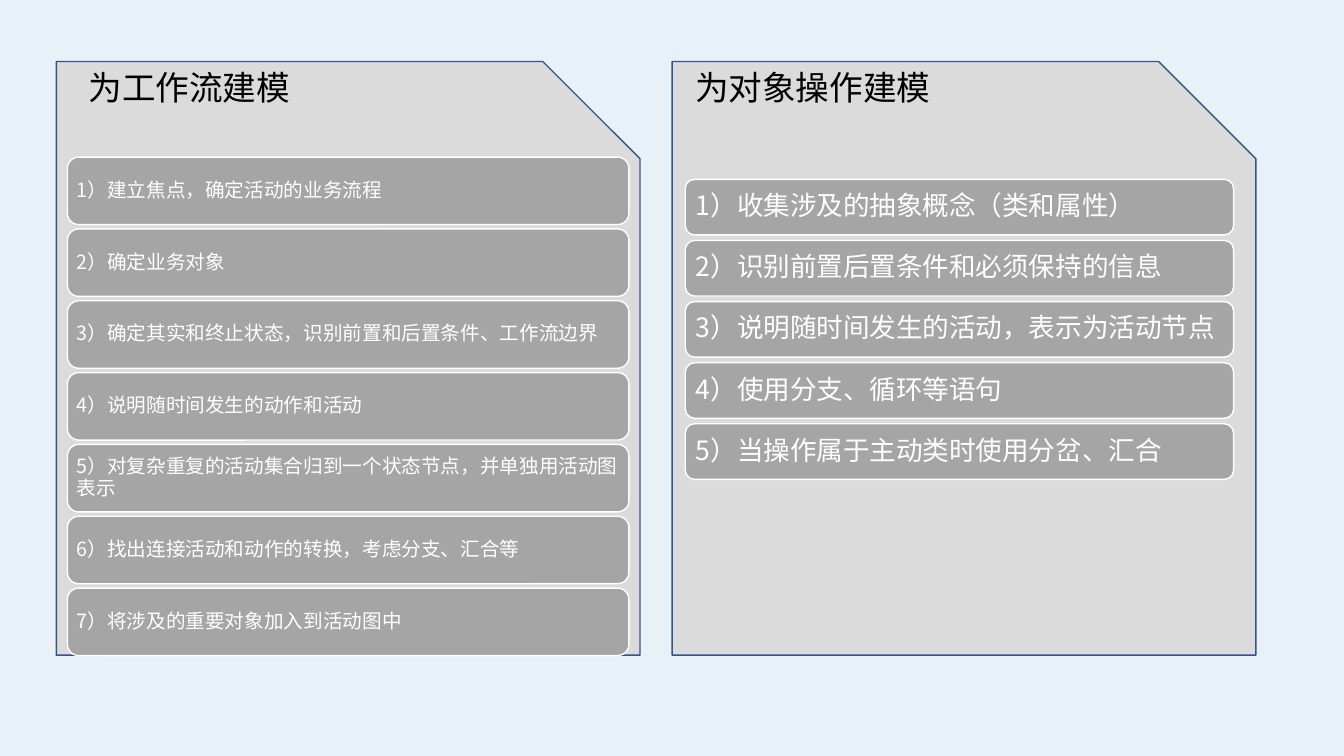
from dataclasses import dataclass

from lxml import etree
from pptx import Presentation
from pptx.dml.color import RGBColor
from pptx.enum import shapes, text
from pptx.oxml import ns
from pptx.slide import Slide
from pptx.util import Cm, Pt

BACKGROUND = RGBColor(0xE9, 0xF1, 0xF8)
PANEL_FILL = RGBColor(0xDB, 0xDB, 0xDB)
PANEL_LINE = RGBColor(0x32, 0x54, 0x91)
STEP_FILL = RGBColor(0xA5, 0xA5, 0xA5)
WHITE = RGBColor(0xFF, 0xFF, 0xFF)
BLACK = RGBColor(0x00, 0x00, 0x00)
HEADING_FONT = "Courier New"
STEP_FONT = "Noto Sans CJK SC"
PANEL_TOP, PANEL_WIDTH, PANEL_HEIGHT = 1.55, 14.71, 14.96


@dataclass(frozen=True)
class Panel:
    left: float
    heading: str
    heading_left: float
    heading_width: float
    step_left: float
    step_top: float
    step_width: float
    step_height: float
    step_pitch: float
    step_margin: float
    step_size: int
    steps: tuple[str, ...]


PANELS = (
    Panel(1.42, "为工作流建模", 1.98, 5.61, 1.7, 3.96, 14.15, 1.7, 1.81, 0.15, 14, (
        "1）建立焦点，确定活动的业务流程",
        "2）确定业务对象",
        "3）确定其实和终止状态，识别前置和后置条件、工作流边界",
        "4）说明随时间发生的动作和活动",
        "5）对复杂重复的活动集合归到一个状态节点，并单独用活动图表示",
        "6）找出连接活动和动作的转换，考虑分支、汇合等",
        "7）将涉及的重要对象加入到活动图中",
    )),
    Panel(16.94, "为对象操作建模", 17.27, 6.83, 17.27, 4.52, 13.82, 1.4, 1.54, 0.2, 19, (
        "1）收集涉及的抽象概念（类和属性）",
        "2）识别前置后置条件和必须保持的信息",
        "3）说明随时间发生的活动，表示为活动节点",
        "4）使用分支、循环等语句",
        "5）当操作属于主动类时使用分岔、汇合",
    )),
)


def paint(shape, fill: RGBColor, line: RGBColor) -> None:
    shape.shadow.inherit = False
    shape.fill.solid()
    shape.fill.fore_color.rgb = fill
    shape.line.color.rgb = line
    shape.line.width = Pt(1)


def write(shape, words: str, font_name: str, size: int, color: RGBColor) -> None:
    shape.text_frame.text = words
    paragraph = shape.text_frame.paragraphs[0]
    paragraph.alignment = text.PP_ALIGN.LEFT
    font = paragraph.runs[0].font
    font.size = Pt(size)
    font.color.rgb = color
    font.name = font_name
    properties = paragraph.runs[0]._r.get_or_add_rPr()
    etree.SubElement(properties, ns.qn("a:ea"), typeface=font_name)


def draw_panel(slide: Slide, panel: Panel) -> None:
    frame = slide.shapes.add_shape(
        shapes.MSO_SHAPE.SNIP_1_RECTANGLE,
        Cm(panel.left), Cm(PANEL_TOP), Cm(PANEL_WIDTH), Cm(PANEL_HEIGHT))
    paint(frame, PANEL_FILL, PANEL_LINE)

    heading = slide.shapes.add_textbox(
        Cm(panel.heading_left), Cm(PANEL_TOP), Cm(panel.heading_width), Cm(1.27))
    write(heading, panel.heading, HEADING_FONT, 24, BLACK)


def draw_steps(slide: Slide, panel: Panel) -> None:
    group = slide.shapes.add_group_shape()
    for index, words in enumerate(panel.steps):
        step = group.shapes.add_shape(
            shapes.MSO_SHAPE.ROUNDED_RECTANGLE,
            Cm(panel.step_left), Cm(panel.step_top + index * panel.step_pitch),
            Cm(panel.step_width), Cm(panel.step_height))
        paint(step, STEP_FILL, WHITE)
        write(step, words, STEP_FONT, panel.step_size, WHITE)
        frame = step.text_frame
        frame.word_wrap = True
        frame.vertical_anchor = text.MSO_ANCHOR.MIDDLE
        frame.margin_left = frame.margin_right = Cm(panel.step_margin)
        frame.margin_top = frame.margin_bottom = Cm(panel.step_margin)
        frame.paragraphs[0].line_spacing = 0.9


def main() -> None:
    presentation = Presentation()
    presentation.slide_width = Cm(33.87)
    presentation.slide_height = Cm(19.05)
    slide = presentation.slides.add_slide(presentation.slide_layouts[6])
    slide.background.fill.solid()
    slide.background.fill.fore_color.rgb = BACKGROUND
    for panel in PANELS:
        draw_panel(slide, panel)
        draw_steps(slide, panel)
    presentation.save("out.pptx")


if __name__ == "__main__":
    main()
